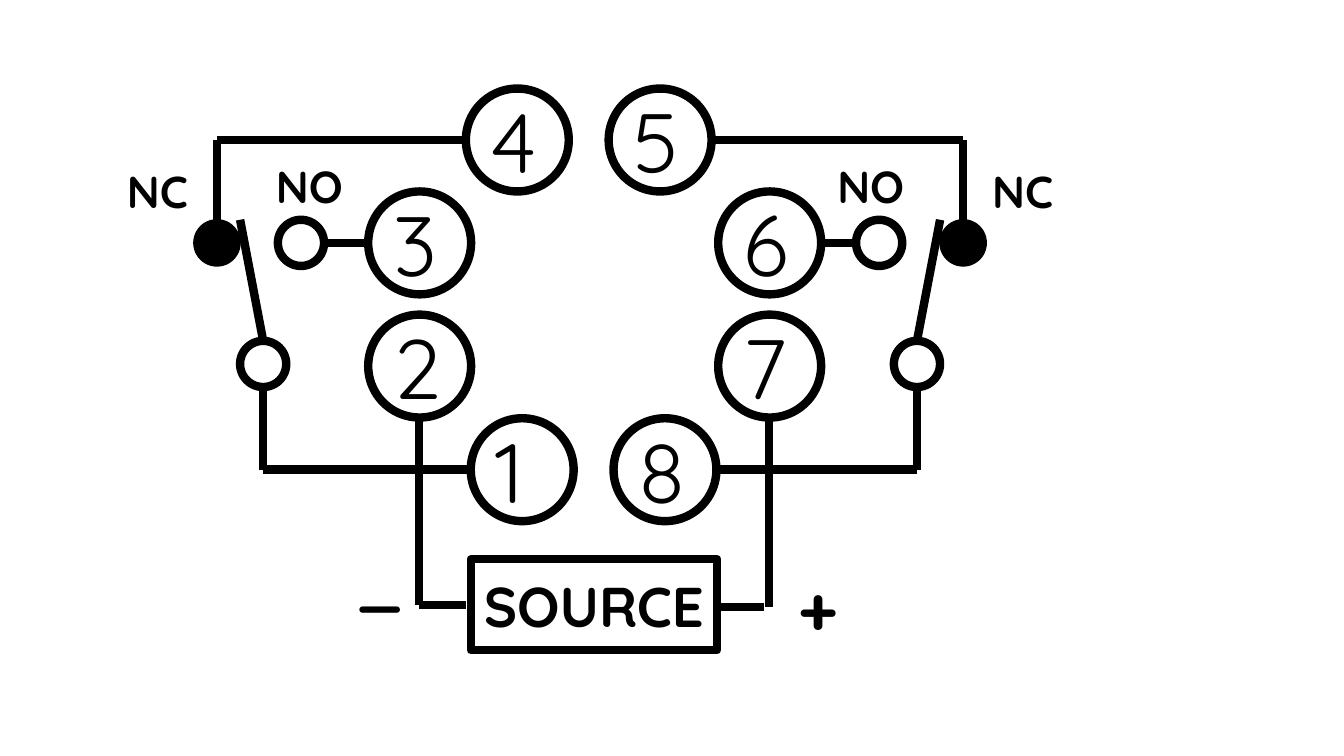
import collections
import pptx
import pptx.dml.color
import pptx.enum.shapes
import pptx.enum.text
import pptx.oxml.ns
import pptx.util
from lxml import etree

Pt = pptx.util.Pt
Shape = pptx.enum.shapes.MSO_SHAPE
Align = pptx.enum.text.PP_ALIGN
Anchor = pptx.enum.text.MSO_ANCHOR
Box = collections.namedtuple("Box", "left top width height")

COLOURS = {"ink": "000000", "paper": "FFFFFF"}
FONT = "Quicksand"
STROKE = 6
TERMINAL = 73.5
CONTACT = 33


def colour(name):
    """Return the named palette colour."""
    return pptx.dml.color.RGBColor.from_string(COLOURS[name])


def write(shape, text, size, bold, alignment, wrap):
    """Set one line of text in a shape, centred vertically."""
    frame = shape.text_frame
    frame.word_wrap = wrap
    frame.vertical_anchor = Anchor.MIDDLE
    paragraph = frame.paragraphs[0]
    paragraph.text = text
    paragraph.alignment = alignment
    paragraph.font.name = FONT
    paragraph.font.size = Pt(size)
    paragraph.font.bold = bold
    paragraph.font.color.rgb = colour("ink")


def add_outline(slide, kind, box, fill="paper", stroke=STROKE):
    """Add an outlined preset shape."""
    shape = slide.shapes.add_shape(kind, *map(Pt, box))
    shape.shadow.inherit = False
    shape.fill.solid()
    shape.fill.fore_color.rgb = colour(fill)
    shape.line.color.rgb = colour("ink")
    shape.line.width = Pt(stroke)
    return shape


def add_circle(slide, x, y, diameter, **style):
    """Add a circle around a centre point."""
    box = Box(x - diameter / 2, y - diameter / 2, diameter, diameter)
    return add_outline(slide, Shape.OVAL, box, **style)


def add_wire(slide, *ends):
    """Add a straight wire between two points."""
    wire = slide.shapes.add_connector(
        pptx.enum.shapes.MSO_CONNECTOR.STRAIGHT, *map(Pt, ends))
    wire.line.color.rgb = colour("ink")
    wire.line.width = Pt(STROKE)
    properties = wire._element.spPr
    etree.SubElement(properties, pptx.oxml.ns.qn("a:effectLst"))


def add_label(slide, text, x, y, size, width, height):
    """Add a bold label around a centre point."""
    label = slide.shapes.add_textbox(
        Pt(x - width / 2), Pt(y - height / 2), Pt(width), Pt(height))
    write(label, text, size, True, Align.CENTER, False)


def draw_socket(slide, box):
    """Draw the eight numbered terminals."""
    left, right = TERMINAL / 2, box.width - TERMINAL / 2
    rows = [
        (36.5, {"4": 106.5, "5": 208.5}),
        (110, {"3": left, "6": right}),
        (198, {"2": left, "7": right}),
        (272, {"1": 110, "8": 212}),
    ]
    for y, terminals in rows:
        for number, x in terminals.items():
            circle = add_circle(slide, box.left + x, box.top + y, TERMINAL)
            write(circle, number, 60, False, Align.LEFT, True)


def draw_switch(slide, box, side, reaches):
    """Draw a changeover switch, measured inward from its outer edge."""
    outer = box.left if side == 1 else box.left + box.width
    closed, opened, pivot, blade = (
        outer + side * inset for inset in (0, 60, 33, 16.5))
    common_end, open_end, closed_end = (
        outer + side * reach for reach in reaches)
    top, bottom = box.top, box.top + box.height
    contact_y, pivot_y = top + 73.5, top + 160

    add_wire(slide, closed_end, top, closed, top)
    add_wire(slide, closed, top, closed, contact_y)
    add_wire(slide, open_end, contact_y, opened, contact_y)
    add_wire(slide, common_end, bottom, pivot, bottom)
    add_wire(slide, pivot, pivot_y, pivot, bottom)
    add_circle(slide, closed, contact_y, CONTACT, fill="ink", stroke=1)
    add_circle(slide, opened, contact_y, CONTACT)
    add_circle(slide, pivot, pivot_y, CONTACT)
    add_wire(slide, pivot, pivot_y - CONTACT / 2,
             blade, contact_y - CONTACT / 2)
    add_label(slide, "NO", outer + side * 66, top + 32.5, 32, 66, 46)
    add_label(slide, "NC", outer - side * 42.5, top + 36, 32, 63, 46)


def draw_source(slide, box):
    """Draw the supply with its two leads and polarity signs."""
    right = box.left + box.width
    supply = Box(box.left + 36.75, box.top + 101, box.width - 74, 65)
    minus_y, plus_y = box.top + 133.5, box.top + 135
    add_wire(slide, box.left, box.top, box.left, minus_y)
    add_wire(slide, right, box.top, right, plus_y)
    add_wire(slide, box.left, minus_y, supply.left - 3.5, minus_y)
    add_wire(slide, supply.left + supply.width, plus_y, right - 3.5, plus_y)
    rectangle = add_outline(slide, Shape.RECTANGLE, supply)
    write(rectangle, "SOURCE", 40, True, Align.CENTER, False)
    add_label(slide, "_", box.left - 32.5, box.top + 112.5, 48, 39, 65.5)
    add_label(slide, "+", right + 35, box.top + 134.5, 48, 44, 65.5)


def main():
    """Build the relay wiring slide and save it."""
    presentation = pptx.Presentation()
    presentation.slide_width = Pt(960)
    presentation.slide_height = Pt(540)
    slide = presentation.slides.add_slide(presentation.slide_layouts[6])
    slide.background.fill.solid()
    slide.background.fill.fore_color.rgb = colour("paper")
    draw_socket(slide, Box(263, 63.5, 323.5, 309))
    draw_switch(slide, Box(155, 100, 181, 235.5), 1, (181, 108, 178))
    draw_switch(slide, Box(509, 100, 179, 235.5), -1, (175.5, 102, 179))
    draw_source(slide, Box(299.5, 298.5, 250, 166))
    presentation.save("out.pptx")


main()
